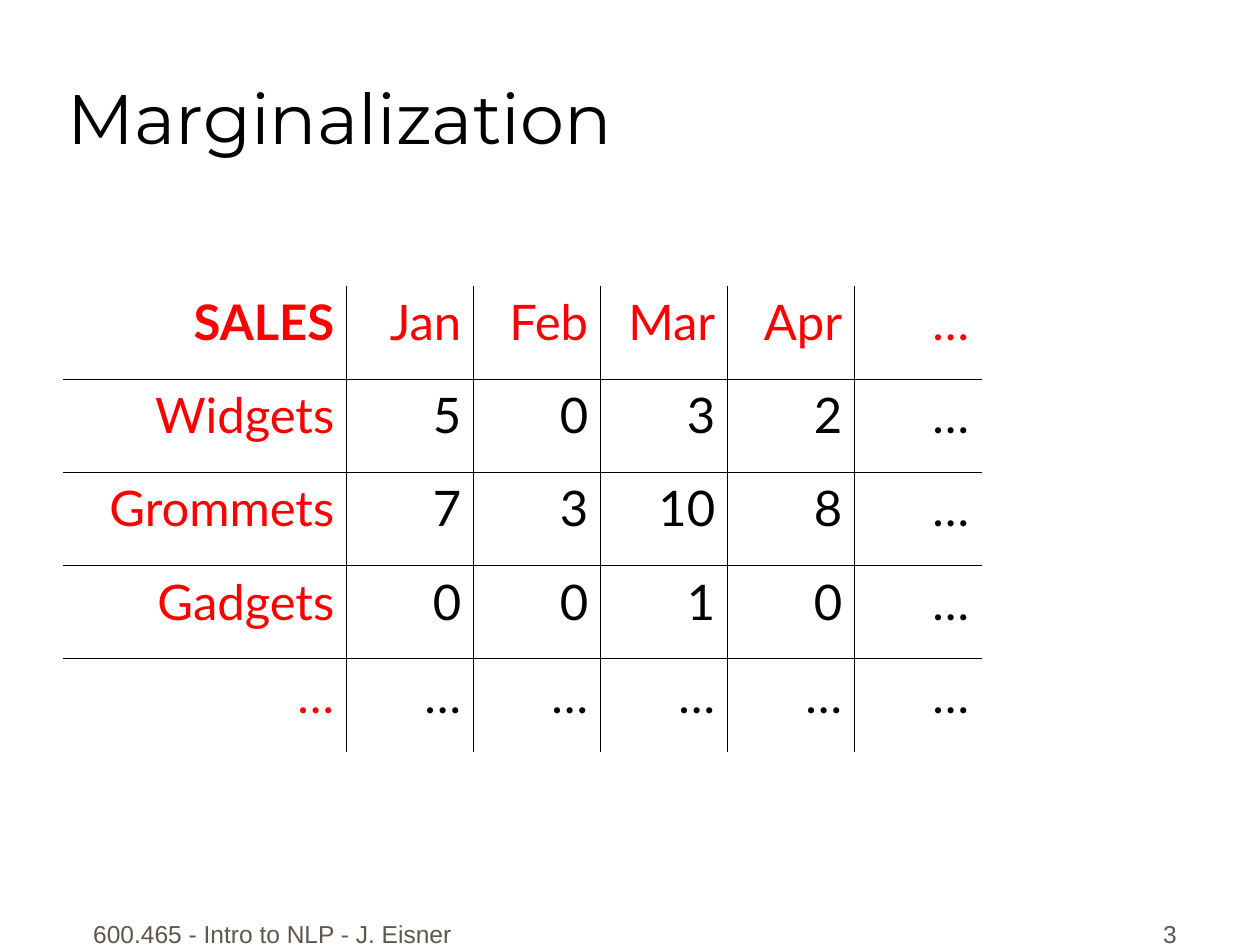
from lxml import etree
from pptx import Presentation
from pptx.dml.color import RGBColor
from pptx.enum.text import MSO_ANCHOR, PP_ALIGN
from pptx.oxml.ns import qn
from pptx.util import Cm, Pt

LEFT, CENTER, RIGHT = PP_ALIGN.LEFT, PP_ALIGN.CENTER, PP_ALIGN.RIGHT
BOTTOM = MSO_ANCHOR.BOTTOM

BLACK, RED, GREY = "000000", "FF0000", "5E574E"
TITLE = {"name": "Montserrat", "size": Pt(40)}
FOOTER = {"name": "Arial", "size": Pt(14)}
BODY = {"name": "Lato", "size": Pt(28), "bold": False}

SALES = [
    ["SALES", "Jan", "Feb", "Mar", "Apr", "…"],
    ["Widgets", "5", "0", "3", "2", "…"],
    ["Grommets", "7", "3", "10", "8", "…"],
    ["Gadgets", "0", "0", "1", "0", "…"],
    ["…", "…", "…", "…", "…", "…"],
]


def color(hex_value):
    return RGBColor.from_string(hex_value)


class SlideBuilder:
    """Holds the rule style and the current slide."""

    rule_color = BLACK
    rule_width = Pt(0.45)

    def __init__(self, slide):
        self.slide = slide

    def set_words(self, frame, words, style, ink, align, space_before=0):
        paragraph = frame.paragraphs[0]
        paragraph.alignment = align
        paragraph.space_before = Pt(space_before)
        run = paragraph.add_run()
        run.text = words
        for attribute, value in style.items():
            setattr(run.font, attribute, value)
        run.font.color.rgb = color(ink)

    def text(self, words, left, top, width, height, style, ink, align):
        box = self.slide.shapes.add_textbox(Cm(left), Cm(top), Cm(width), Cm(height))
        frame = box.text_frame
        frame.word_wrap = True
        frame.vertical_anchor = BOTTOM
        self.set_words(frame, words, style, ink, align)

    def rules(self, cell, visible):
        """Draw the named sides of a cell and clear the others."""
        properties = cell._tc.get_or_add_tcPr()
        for position, side in enumerate("LRTB"):
            line = etree.Element(qn(f"a:ln{side}"), w=str(self.rule_width))
            if side in visible:
                fill = etree.SubElement(line, qn("a:solidFill"))
                etree.SubElement(fill, qn("a:srgbClr"), val=self.rule_color)
            else:
                etree.SubElement(line, qn("a:noFill"))
            properties.insert(position, line)

    def table(self, rows, left, top, widths, row_height):
        last_row, last_column = len(rows) - 1, len(widths) - 1
        table = self.slide.shapes.add_table(
            len(rows), len(widths), Cm(left), Cm(top),
            Cm(sum(widths)), Cm(row_height * len(rows))).table
        table.first_row = table.horz_banding = False
        for column, width in zip(table.columns, widths):
            column.width = Cm(width)
        for r, values in enumerate(rows):
            table.rows[r].height = Cm(row_height)
            for c, value in enumerate(values):
                cell = table.cell(r, c)
                cell.fill.background()
                style = {**BODY, "bold": r == c == 0}
                ink = BLACK if r and c else RED
                self.set_words(cell.text_frame, value, style, ink, RIGHT, 7)
                # Only inner rules show
                inner = {"L": c > 0, "R": c < last_column,
                         "T": r > 0, "B": r < last_row}
                self.rules(cell, [side for side in inner if inner[side]])


def main():
    deck = Presentation()
    deck.slide_width, deck.slide_height = Cm(25.4), Cm(19.05)
    builder = SlideBuilder(deck.slides.add_slide(deck.slide_layouts[6]))

    # Footer and page number
    builder.text("600.465 - Intro to NLP - J. Eisner",
                 1.47, 17.98, 8.05, 1.27, FOOTER, GREY, CENTER)
    builder.text("3", 18.69, 17.98, 5.28, 1.27, FOOTER, GREY, RIGHT)

    # Title
    builder.text("Marginalization", 1.12, 0.15, 21.59, 3.18, TITLE, BLACK, LEFT)

    # Sales by product and month
    builder.table(SALES, 1.27, 5.76, [5.72] + [2.56] * 5, 1.88)

    deck.save("out.pptx")


if __name__ == "__main__":
    main()
